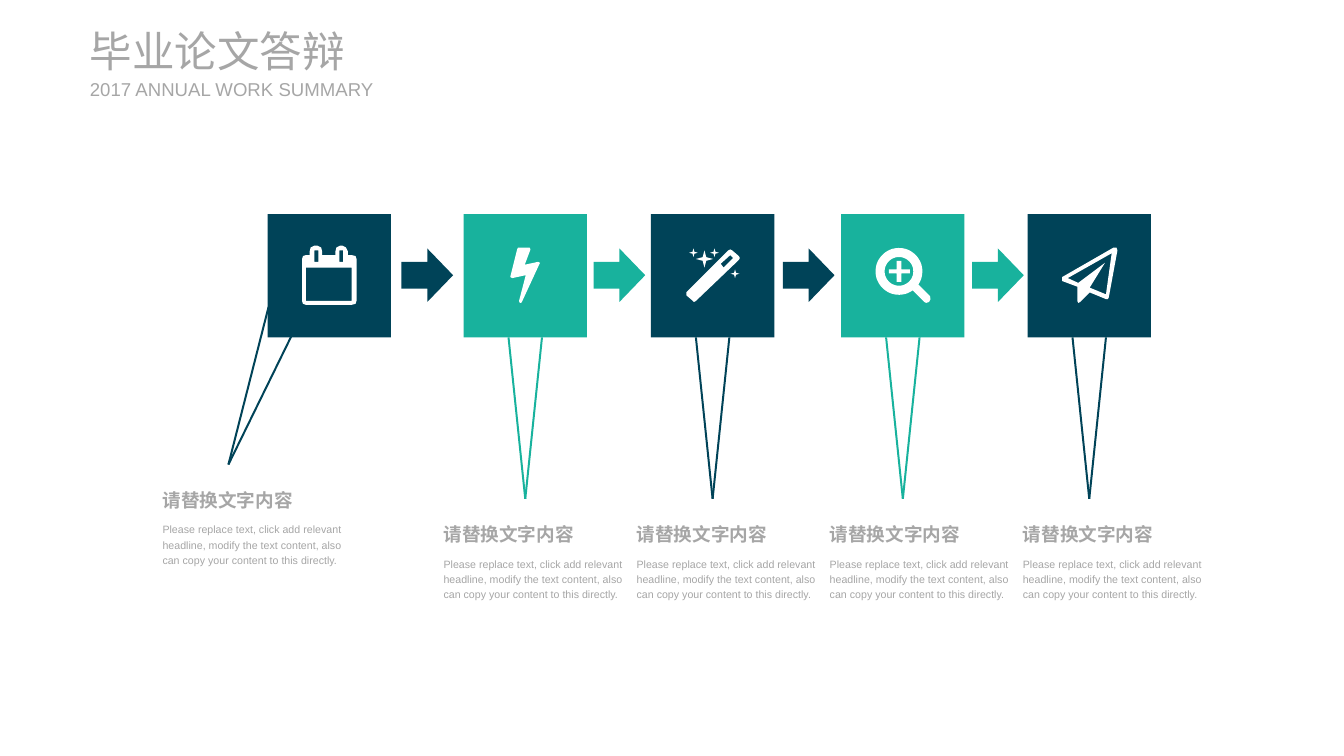
import math
import lxml.etree
import pptx
import pptx.dml.color
import pptx.enum.shapes
import pptx.enum.text
import pptx.oxml.ns
import pptx.util

Inches = pptx.util.Inches
Shape = pptx.enum.shapes.MSO_SHAPE
Anchor = pptx.enum.text.MSO_ANCHOR
Fit = pptx.enum.text.MSO_AUTO_SIZE

NAVY = "004358"
TEAL = "18B29D"
GREY = "A6A6A6"
WHITE = "FFFFFF"
LABEL = "请替换文字内容"
BODY = ("Please replace text, click add relevant headline, modify the text "
        "content, also can copy your content to this directly.")


def paint(fill, color):
    fill.solid()
    fill.fore_color.rgb = pptx.dml.color.RGBColor.from_string(color)


def write(box, text, size, bold=False, pad=0, anchor=Anchor.MIDDLE,
          space=1.0, fit=Fit.SHAPE_TO_FIT_TEXT):
    frame = box.text_frame
    frame.word_wrap = True
    frame.auto_size = fit
    frame.vertical_anchor = anchor
    frame.margin_left = frame.margin_right = 0
    frame.margin_top = frame.margin_bottom = Inches(pad)
    para = frame.paragraphs[0]
    para.alignment = pptx.enum.text.PP_ALIGN.LEFT
    para.line_spacing = space
    para.space_before = pptx.util.Pt(0)
    run = para.add_run()
    run.text = text
    run.font.name = "Arial"
    run.font.size = pptx.util.Pt(size)
    run.font.bold = bold
    paint(run.font.fill, GREY)


date = [
    [(93, 91), (92, 94), (88, 95), (40, 95), (37, 94), (36, 91), (36, 47),
     (37, 44), (40, 43), (44, 43), (44, 39), (45, 35), (49, 33), (52, 33),
     (56, 35), (57, 39), (57, 43), (71, 43), (71, 39), (72, 35), (76, 33),
     (78, 33), (82, 35), (84, 39), (84, 43), (88, 43), (92, 44), (93, 47)],
    [(88, 91), (88, 56), (40, 56), (40, 91)],
    [(49, 38), (53, 38), (53, 50), (49, 50)],
    [(75, 38), (79, 38), (79, 50), (75, 50)],
]
bolt = [
    [(79, 53), (61, 92), (60, 93), (59, 93), (58, 91), (65, 64), (51, 67),
     (49, 66), (49, 65), (56, 37), (57, 35), (69, 35), (70, 37), (64, 53),
     (78, 50), (80, 51)],
]
wand = [
    [(92, 48), (47, 91), (45, 92), (44, 91), (37, 85), (37, 82), (81, 38),
     (83, 37), (85, 38), (92, 44), (93, 46)],
    [(86, 46), (83, 43), (73, 52), (76, 56)],
]
for x, y, size in [(44.5, 40.5, 4.5), (56, 47, 9), (66.5, 40.5, 4.5), (88, 62.5, 4.5)]:
    star = []
    for step in range(8):
        reach = size * (0.3 if step % 2 else 1)
        turn = math.radians(45 * step)
        star.append((x + reach * math.cos(turn), y + reach * math.sin(turn)))
    wand.append(star)

rings = []
for reach, first, last in [(24.5, 54, 394), (15, 0, 355)]:
    ring = []
    for angle in range(first, last + 1, 5):
        turn = math.radians(angle)
        ring.append((60.5 + reach * math.cos(turn), 60 + reach * math.sin(turn)))
    rings.append(ring)
lens = [
    rings[0] + [(93, 86), (93.5, 89), (92, 92), (89, 93), (87, 92)],
    rings[1],
    [(58, 49), (63, 49), (63, 58), (72, 58), (72, 62), (63, 62),
     (63, 71), (58, 71), (58, 62), (50, 62), (50, 58), (58, 58)],
]
plane = [
    [(94, 38), (85, 87), (84, 89), (82, 89), (65, 82), (55, 92), (53, 93),
     (52, 91), (52, 76), (36, 70), (36, 66), (90, 35), (93, 35)],
    [(88, 41), (42, 67), (53, 72), (81, 51), (65, 77), (82, 84)],
]

deck = pptx.Presentation()
deck.slide_width = Inches(14.06)
deck.slide_height = Inches(7.91)
slide = deck.slides.add_slide(deck.slide_layouts[5])
shapes = slide.shapes

title = shapes.title
title.left, title.top = Inches(0.94), Inches(0.26)
title.width, title.height = Inches(4.32), Inches(0.54)
write(title, "毕业论文答辩", 32)
sub = shapes.add_textbox(Inches(0.94), Inches(0.81), Inches(3.07), Inches(0.24))
write(sub, "2017 ANNUAL WORK SUMMARY", 14)

TOP, SIDE = 2.24, 1.29
lefts = [2.8, 4.85, 6.81, 8.8, 10.75]
icons = [date, bolt, wand, lens, plane]
for index, (left, icon) in enumerate(zip(lefts, icons)):
    color = TEAL if index % 2 else NAVY
    if index == 0:
        tip, ends = (2.39, 4.86), [(2.81, 3.21), (3.14, 3.33)]
        text, head = 1.7, 5.02
    else:
        tip = (left + SIDE / 2, 5.22)
        ends = [(left + 0.47, TOP + SIDE), (left + 0.82, TOP + SIDE)]
        text, head = 4.64 + 2.02 * (index - 1), 5.38

    for end in ends:
        line = shapes.add_connector(pptx.enum.shapes.MSO_CONNECTOR.STRAIGHT,
                                    *map(Inches, tip + end))
        line.line.width = pptx.util.Pt(1.5)
        paint(line.line.fill, color)
        lxml.etree.SubElement(line._element.spPr, pptx.oxml.ns.qn("a:effectLst"))

    tile = shapes.add_shape(Shape.RECTANGLE, Inches(left), Inches(TOP),
                            Inches(SIDE), Inches(SIDE))
    pen = None
    for ring in icon:
        dots = [(round(x * 10), round(y * 10)) for x, y in ring]
        if pen is None:
            pen = shapes.build_freeform(*dots[0], scale=Inches(0.001))
        else:
            pen.move_to(*dots[0])
        pen.add_line_segments(dots[1:], close=True)
    sign = pen.convert_to_shape(Inches(left), Inches(TOP))
    parts = [(tile, color), (sign, WHITE)]
    if index < 4:
        start = [4.2, 6.21, 8.19, 10.17][index]
        arrow = shapes.add_shape(Shape.RIGHT_ARROW, Inches(start), Inches(2.6),
                                 Inches(0.54), Inches(0.56))
        parts.append((arrow, color))
    for part, tone in parts:
        paint(part.fill, tone)
        part.line.fill.background()
        part.shadow.inherit = False

    label = shapes.add_textbox(Inches(text), Inches(head), Inches(1.46), Inches(0.37))
    write(label, LABEL, 14, bold=True, pad=0.11, space=1.2, fit=Fit.NONE)
    body = shapes.add_textbox(Inches(text), Inches(head + 0.43), Inches(1.92), Inches(0.47))
    write(body, BODY, 8, anchor=Anchor.TOP, space=1.2)

deck.save("out.pptx")
